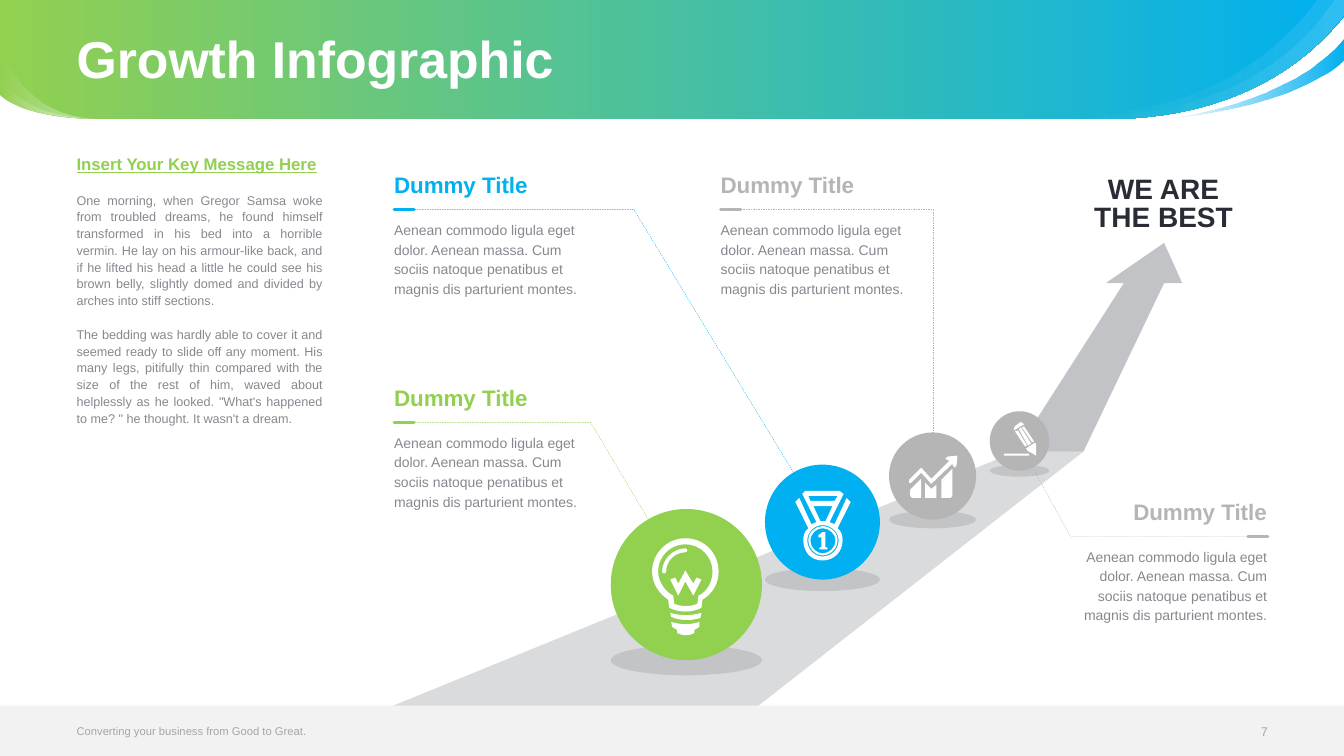
from lxml import etree
from pptx import Presentation
from pptx.dml.color import RGBColor
from pptx.enum.dml import MSO_LINE
from pptx.enum.shapes import MSO_CONNECTOR, MSO_SHAPE
from pptx.enum.text import MSO_ANCHOR, MSO_AUTO_SIZE, PP_ALIGN
from pptx.oxml.ns import qn
from pptx.util import Cm, Pt

OVAL, BAR, STRAIGHT = MSO_SHAPE.OVAL, MSO_SHAPE.RECTANGLE, MSO_CONNECTOR.STRAIGHT
LEFT, RIGHT, CENTER, JUSTIFY = PP_ALIGN.LEFT, PP_ALIGN.RIGHT, PP_ALIGN.CENTER, PP_ALIGN.JUSTIFY
TOP, MIDDLE = MSO_ANCHOR.TOP, MSO_ANCHOR.MIDDLE
DASH = MSO_LINE.DASH
FIXED, GROW = MSO_AUTO_SIZE.NONE, MSO_AUTO_SIZE.SHAPE_TO_FIT_TEXT
UNIT = 0.0254  # one design unit (a hundredth of an inch) in cm
COLORS = {"green": "92D050", "blue": "00B0F0", "silver": "B5B5B5", "slate": "85898F",
          "ink": "292C34", "white": "FFFFFF", "black": "000000", "bar": "F2F2F2",
          "footer": "A6A6A6"}
BOLD = {"bold": True}

# Content
TITLE = "Growth Infographic"
KEY_MESSAGE = "Insert Your Key Message Here"
STORY = [
    "One morning, when Gregor Samsa woke from troubled dreams, he found himself transformed in "
    "his bed into a horrible vermin. He lay on his armour-like back, and if he lifted his head a "
    "little he could see his brown belly, slightly domed and divided by arches into stiff sections.",
    "The bedding was hardly able to cover it and seemed ready to slide off any moment. His many "
    "legs, pitifully thin compared with the size of the rest of him, waved about helplessly as he "
    "looked. \"What's happened to me? \" he thought. It wasn't a dream.",
]
SLOGAN = ["WE ARE", "THE BEST"]
FOOTER, PAGE_NUMBER = "Converting your business from Good to Great.", "7"
CALLOUT_TITLE = "Dummy Title"
CALLOUT_BODY = ("Aenean commodo ligula eget dolor. Aenean massa. Cum sociis natoque penatibus et "
                "magnis dis parturient montes.")
# color, left, rule height, alignment, leader line
CALLOUTS = [
    ("silver", 1064, 532, RIGHT, "1243 532, 1062 532, 1011 439"),
    ("green", 391, 419, LEFT, "409 419, 586 419, 680 577"),
    ("blue", 391, 208, LEFT, "409 208, 629 208, 816 516"),
    ("silver", 715, 208, LEFT, "730 208, 926 208, 926 472"),
]

# Outlines: nodes parted by commas, two numbers for a corner, six for a curve
HEADER = [  # outline, gradient stops (position, color, opacity)
    ("1333.4 0, 1333.4 16, 1266 100 1170 117 1105 118, 97 118, 18 117 0 94 0 94, 0 0",
     [(0, "green", 100), (100, "blue", 100)]),
    ("1333.4 0, 1333.4 16, 1224 153 1039 113 1034 112, 1040 112 1232 139 1324 0",
     [(15, "white", 0), (100, "white", 10)]),
    ("1157 118, 1157 118 1282 103 1333.4 37, 1333.4 59, 1333 59 1294 104 1157 118",
     [(0, "blue", 0), (100, "blue", 100)]),
    ("1333.4 0, 1333.4 16, 1223 155 1034 112 1034 112, 1189 122 1270 50 1307 0",
     [(15, "white", 0), (100, "white", 10)]),
    ("98 118, 18 117 0 94 0 94, 0 76, 0 76 18 117 98 118",
     [(0, "white", 0), (100, "white", 50)]),
    ("98 118, 18 117 0 94 0 94, 0 45, 0 45 18 116 98 118",
     [(0, "white", 0), (100, "white", 50)]),
]
ROAD = [("324 727, 718 727, 1075 448, 1008 448", 30),
        ("1173 281, 1155 241, 1097 281, 1115 281, 1008 448, 1075 448, 1155 281", 50)]
BULB = [
    "680 548, 681 548 682 547 682 546, 682 545 681 544 680 544, 668 544 657 555 657 567, "
    "657 568 658 569 659 569, 660 569 661 568 661 567, 661 556 670 548 680 548",
    "665 608, 666 612, 675 616 686 616 695 613, 696 608, 686 611 675 611 665 608",
    "666 617, 667 622, 672 625, 672 628, 677 631 684 631 689 628, 689 625, 694 622, 694 617, "
    "685 620 676 620 666 617",
    "680 534, 662 534 647 549 647 567, 647 579 654 589 663 595, 664 603, "
    "674 608 686 608 696 603, 697 595, 707 589 713 579 713 567, 713 549 699 534 680 534",
    "693 591, 692 599, 685 602 676 602 669 599, 668 591, "
    "660 587 653 577 653 567, 653 552 665 540 680 540, 695 540 707 552 707 567, "
    "707 577 702 587 693 591",
    "688 579, 680 566, 673 579, 670 573, 665 575, 673 591, 680 577, 688 591, 696 575, 691 573",
]
MEDAL = [
    "816 522, 809 522 802 528 802 536, 802 544 809 551 816 551, 824 551 831 544 831 536, "
    "831 528 824 522 816 522",
    "816 549, 810 549 804 543 804 536, 804 530 810 524 816 524, 823 524 829 530 829 536, "
    "829 543 823 549 816 549",
    "844 498, 840 494, 828 520, 823 518, 837 490, 833 487, 799 487, 796 490, "
    "810 518, 805 520, 793 494, 789 498, 802 524, 798 527 797 532 797 536, "
    "797 548 805 556 816 556, 827 556 836 548 836 536, 836 532 835 527 831 524",
    "802 492, 831 492, 828 497, 804 497",
    "807 502, 826 502, 819 517, 814 517",
    "832 536, 832 545 825 552 816 552, 808 552 801 545 801 536, 801 528 808 521 816 521, "
    "825 521 832 528 832 536",
    "819 528, 816 528, 812 531, 812 533, 815 533, 815 543, 813 543, 813 545, "
    "821 545, 821 543, 819 543",
]
GROWTH = [
    "940 453, 938 455, 941 457, 943 456, 924 475, 914 464, 902 476, 902 479, 904 479, "
    "914 469, 924 480, 946 459, 945 461, 947 464, 949 462, 950 452",
    "918 479, 918 494, 929 494, 929 481, 924 485",
    "903 492, 905 494, 914 494, 914 475, 903 486",
    "934 476, 934 494, 943 494, 945 492, 945 465, 935 475",
]
PENCIL = [
    "1019 446, 1019 447, 1028 452, 1028 441, 1027 439, 1018 445",
    "1024 439, 1026 438, 1016 423, 1014 424",
    "1023 440, 1013 424, 1011 426, 1020 442",
    "1007 428, 1017 443, 1019 442, 1010 427",
    "1006 427, 1016 421, 1014 419, 1012 419, 1007 423, 1006 425",
    "996 452, 1021 452, 1021 450, 996 450",
]
# color, left, top, diameter, icon
MILESTONES = [("green", 606, 505, 150, BULB), ("blue", 759, 461, 114, MEDAL),
              ("silver", 882, 429, 86.5, GROWTH), ("silver", 982, 408, 59, PENCIL)]

deck = Presentation()
deck.slide_width, deck.slide_height = Cm(33.87), Cm(19.05)
page = deck.slides.add_slide(deck.slide_layouts[5])
shapes = page.shapes


def units(*values):
    return [Cm(value * UNIT) for value in values]


def paint(shape, color, opacity=100):
    shape.shadow.inherit = False
    shape.line.fill.background()
    shape.fill.solid()
    shape.fill.fore_color.rgb = RGBColor.from_string(COLORS[color])
    if opacity < 100:
        tint = shape._element.spPr.find(qn("a:solidFill"))[0]
        etree.SubElement(tint, qn("a:alpha"), val=str(opacity * 1000))


def paint_gradient(shape, stops):
    paint(shape, stops[0][1])
    solid = shape._element.spPr.find(qn("a:solidFill"))
    gradient = etree.Element(qn("a:gradFill"), rotWithShape="1")
    stop_list = etree.SubElement(gradient, qn("a:gsLst"))
    for position, color, opacity in stops:
        stop = etree.SubElement(stop_list, qn("a:gs"), pos=str(position * 1000))
        tint = etree.SubElement(stop, qn("a:srgbClr"), val=COLORS[color])
        etree.SubElement(tint, qn("a:alpha"), val=str(opacity * 1000))
    etree.SubElement(gradient, qn("a:lin"), ang="0", scaled="0")
    solid.getparent().replace(solid, gradient)


def draw(outlines, close=True):
    """Build the nodes as corners, then join each three of a curve into a Bezier."""
    builder, curve_starts, count = None, [], 0
    for outline in outlines:
        points = []
        for node in outline.split(","):
            numbers = units(*map(float, node.split()))
            if len(numbers) == 6:
                curve_starts.append(count + len(points))
            points += zip(numbers[::2], numbers[1::2])
        if builder is None:
            builder = shapes.build_freeform(*points[0])
        else:
            builder.move_to(*points[0])
        builder.add_line_segments(points[1:], close=close)
        count += len(points) + close
    shape = builder.convert_to_shape()
    steps = list(next(shape._element.iter(qn("a:path"))))
    for start in curve_starts:
        curve = etree.Element(qn("a:cubicBezTo"))
        steps[start].addprevious(curve)
        for step in steps[start:start + 3]:
            curve.append(step[0])
            step.getparent().remove(step)
    return shape


def write(box, lines, align=LEFT, anchor=TOP, size_mode=FIXED, spacing=None, gap=0):
    frame = box.text_frame
    settings = {"word_wrap": True, "vertical_anchor": anchor, "auto_size": size_mode,
                "margin_left": 0, "margin_right": 0, "margin_top": 0, "margin_bottom": 0}
    for name, value in settings.items():
        setattr(frame, name, value)
    for index, (text, size, color, style) in enumerate(lines):
        para = frame.add_paragraph() if index else frame.paragraphs[0]
        para.alignment, para.line_spacing = align, spacing
        para.space_before = Pt(gap if index else 0)
        span = para.add_run()
        span.text = text
        for name, value in {"name": "Arial", "size": Pt(size), **style}.items():
            setattr(span.font, name, value)
        span.font.color.rgb = RGBColor.from_string(COLORS[color])


def add_text(place, lines, **layout):
    write(shapes.add_textbox(*units(*place)), lines, **layout)


# Header and title
for outline, stops in HEADER:
    paint_gradient(draw([outline]), stops)
title = shapes.title
title.left, title.top, title.width, title.height = units(76, 5, 1181, 113)
write(title, [(TITLE, 37, "white", BOLD)], anchor=MIDDLE, spacing=0.9)
shapes._spTree.append(title._element)

# Key message
add_text((76, 156, 244, 519),
         [(KEY_MESSAGE, 12, "green", {"bold": True, "underline": True})]
         + [(text, 9, "slate", {}) for text in STORY],
         align=JUSTIFY, spacing=Pt(12), gap=12)

# Road, with the footer bar over its lower end
for outline, opacity in ROAD:
    paint(draw([outline]), "slate", opacity)
paint(shapes.add_shape(BAR, 0, Cm(17.78), deck.slide_width, Cm(1.27)), "bar")
add_text((76, 712, 523, 26), [(FOOTER, 8, "footer", {})], anchor=MIDDLE)
add_text((1195, 713, 63, 26), [(PAGE_NUMBER, 9, "footer", {})], align=RIGHT, anchor=MIDDLE)

# Leader lines
for color, _, _, _, outline in CALLOUTS:
    leader = draw([outline], close=False)
    leader.shadow.inherit = False
    leader.fill.background()
    leader.line.color.rgb = RGBColor.from_string(COLORS[color])
    leader.line.width, leader.line.dash_style = Pt(0.25), DASH

# Milestones along the road
for color, left, top, size, icon in MILESTONES:
    paint(shapes.add_shape(OVAL, *units(left, top + 0.9 * size, size, 0.2 * size)), "black", 10)
    paint(shapes.add_shape(OVAL, *units(left, top, size, size)), color)
    paint(draw(icon), "white")

# Callouts
for color, left, level, align, _ in CALLOUTS:
    add_text((left, level + 9, 193, 79), [(CALLOUT_BODY, 10, "slate", {})],
             align=align, size_mode=GROW, spacing=Pt(14))
    start = left + 174 if align == RIGHT else left
    rule = shapes.add_connector(STRAIGHT, *units(start, level, start + 20, level))
    rule.line.color.rgb = RGBColor.from_string(COLORS[color])
    rule.line.width = Pt(2)
    rule.line._get_or_add_ln().set("cap", "rnd")
    etree.SubElement(rule._element.spPr, qn("a:effectLst"))
    add_text((left, level - 38, 193, 27), [(CALLOUT_TITLE, 16, color, BOLD)],
             align=align, size_mode=GROW)

# Slogan above the arrow
add_text((1058, 176, 193, 56), [(text, 20, "ink", BOLD) for text in SLOGAN],
         align=CENTER, size_mode=GROW, spacing=Pt(20))

deck.save("out.pptx")
